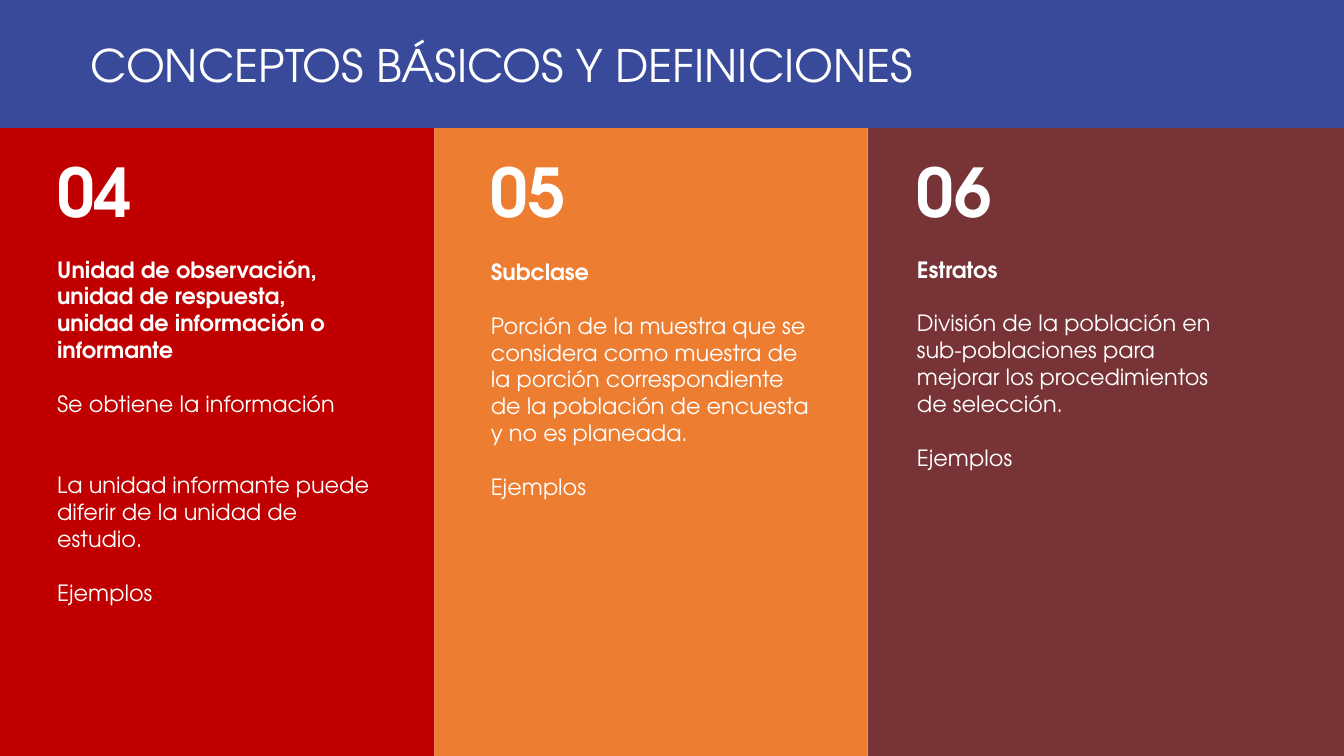
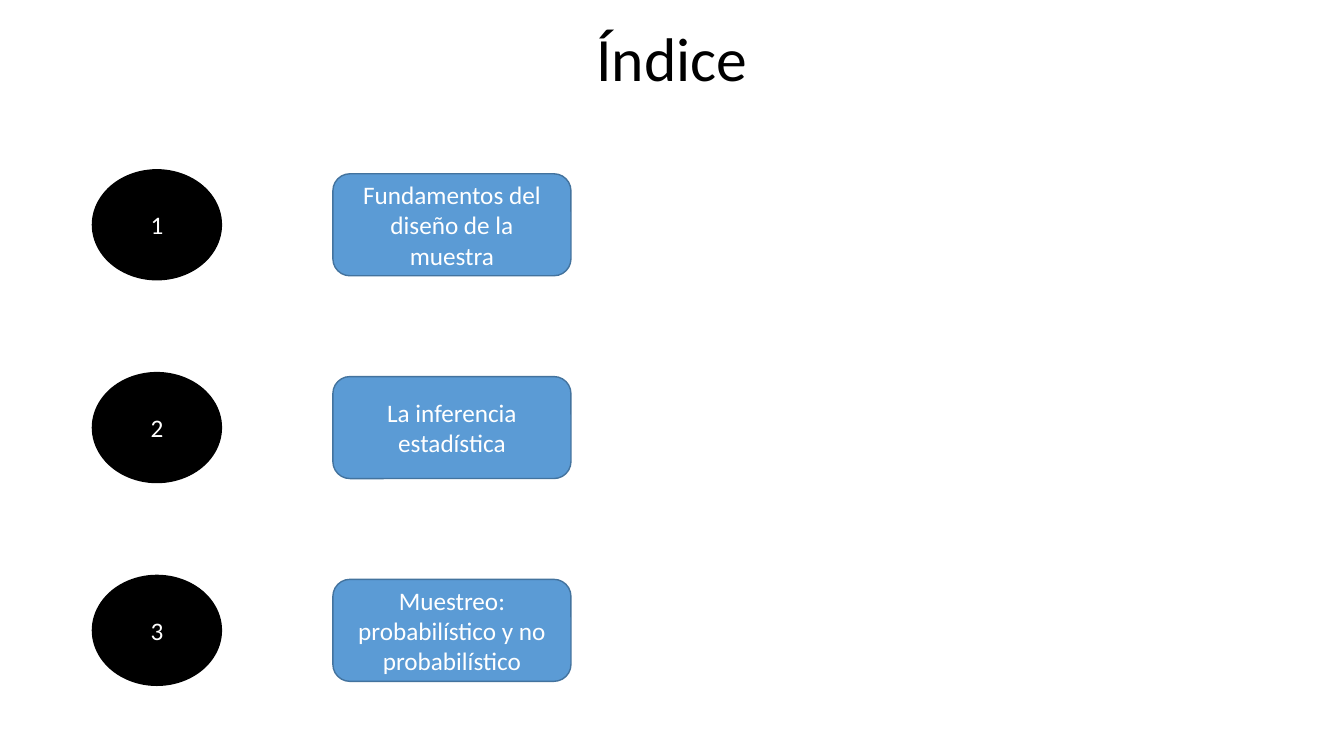
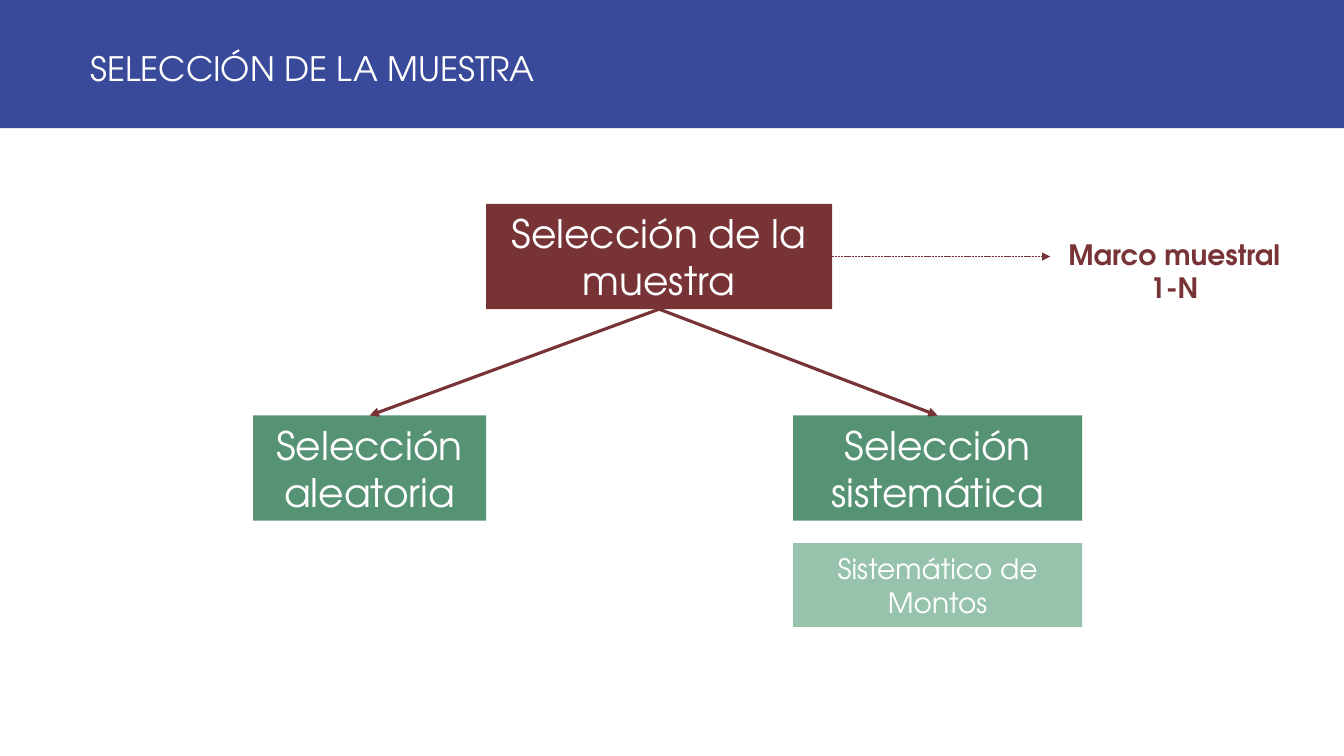
from lxml import etree
from pptx import Presentation
from pptx.dml.color import RGBColor
from pptx.enum.dml import MSO_LINE
from pptx.enum.shapes import MSO_CONNECTOR, MSO_SHAPE
from pptx.enum.text import MSO_ANCHOR, PP_ALIGN
from pptx.oxml.ns import qn
from pptx.util import Cm, Pt

RECT = MSO_SHAPE.RECTANGLE
ROUNDED = MSO_SHAPE.ROUNDED_RECTANGLE
OVAL = MSO_SHAPE.OVAL
STRAIGHT = MSO_CONNECTOR.STRAIGHT
DASHED = MSO_LINE.SQUARE_DOT
LEFT, CENTER = PP_ALIGN.LEFT, PP_ALIGN.CENTER
TOP, MIDDLE = MSO_ANCHOR.TOP, MSO_ANCHOR.MIDDLE
SITE_TOP, SITE_BOTTOM, SITE_RIGHT = 0, 2, 3

BRAND_FONT, PLAIN_FONT = "TeX Gyre Adventor", "Calibri"
WHITE, BLACK = "FFFFFF", "000000"
BLUE, RED, ORANGE, MAROON = "394A9A", "C00000", "ED7D31", "783336"
GREEN, LIGHT_GREEN = "559374", "97C3AD"
SKY, SKY_EDGE = "5B9BD5", "43739E"

WIDTH, HEIGHT = 33.87, 19.05
BAND_HEIGHT = 3.23
BLANK_LINE = 19.2


def rgb(value):
    return RGBColor.from_string(value)


def write(shape, lines, size, font=BRAND_FONT, color=WHITE, bold=False,
          align=CENTER, anchor=MIDDLE):
    frame = shape.text_frame
    frame.word_wrap = True
    frame.vertical_anchor = anchor
    for index, line in enumerate(lines):
        paragraph = frame.paragraphs[0] if index == 0 else frame.add_paragraph()
        paragraph.text = line
        paragraph.alignment = align
        paragraph.font.name = font
        paragraph.font.size = Pt(size)
        paragraph.font.bold = bold
        paragraph.font.color.rgb = rgb(color)
    return frame


def add_panel(slide, box, fill, kind=RECT, edge=None):
    panel = slide.shapes.add_shape(kind, *map(Cm, box))
    panel.shadow.inherit = False
    panel.fill.solid()
    panel.fill.fore_color.rgb = rgb(fill)
    if edge:
        panel.line.color.rgb = rgb(edge)
        panel.line.width = Pt(1)
    else:
        panel.line.fill.background()
    return panel


def add_text(slide, box, lines, size, **style):
    return write(slide.shapes.add_textbox(*map(Cm, box)), lines, size, **style)


def add_entry(slide, box, lines, heading=False):
    frame = add_text(slide, box, lines, 16, align=LEFT, anchor=TOP)
    frame.paragraphs[0].font.bold = heading
    for paragraph in frame.paragraphs[1:]:
        paragraph.space_before = Pt(BLANK_LINE)


def add_title_band(slide, title, size, drop=0.13):
    band = add_panel(slide, (0, 0, WIDTH, BAND_HEIGHT), BLUE)
    frame = write(band, [title], size, align=LEFT)
    frame.margin_left = Cm(2.28)
    frame.margin_top = Cm(drop)


def add_arrow(slide, source, site, width):
    arrow = slide.shapes.add_connector(STRAIGHT, 0, 0, 0, 0)
    arrow.begin_connect(source, site)
    arrow.line.color.rgb = rgb(MAROON)
    arrow.line.width = Pt(width)
    etree.SubElement(arrow.line._get_or_add_ln(), qn("a:tailEnd"), type="triangle")
    etree.SubElement(arrow._element.spPr, qn("a:effectLst"))
    return arrow


def build_concepts(slide):
    add_title_band(slide, "CONCEPTOS BÁSICOS Y DEFINICIONES", 32)
    columns = [
        ("04", 0, 10.95, RED, 1.19, 6.32, 7.65,
         ["Unidad de observación, unidad de respuesta, unidad de información o informante",
          "Se obtiene la información"]),
        ("05", 10.95, 10.92, ORANGE, 12.12, 6.38, 8.59,
         ["Subclase",
          "Porción de la muestra que se considera como muestra de la porción "
          "correspondiente de la población de encuesta y no es planeada.",
          "Ejemplos"]),
        ("06", 21.87, 12, MAROON, 22.86, 6.32, 8.59,
         ["Estratos",
          "División de la población en sub-poblaciones para mejorar los "
          "procedimientos de selección.",
          "Ejemplos"]),
    ]
    for number, left, width, fill, text_left, text_top, text_width, lines in columns:
        add_panel(slide, (left, BAND_HEIGHT, width, HEIGHT - BAND_HEIGHT), fill)
        add_text(slide, (text_left, 3.66, 3, 2.31), [number], 48,
                 bold=True, align=LEFT, anchor=TOP)
        add_entry(slide, (text_left, text_top, text_width, 5.13), lines, heading=True)
    add_entry(slide, (1.19, 11.75, 8.59, 3.68),
              ["La unidad informante puede diferir de la unidad de estudio.", "Ejemplos"])


def build_index(slide):
    title = add_text(slide, (2.33, 0.43, 29.21, 2.26), ["Índice"], 44,
                     font=PLAIN_FONT, color=BLACK)
    title.paragraphs[0].line_spacing = 0.9
    topics = ["Fundamentos del diseño de la muestra",
              "La inferencia estadística",
              "Muestreo: probabilístico y no probabilístico"]
    for index, topic in enumerate(topics):
        top = 4.28 + 5.11 * index
        number = add_panel(slide, (2.33, top, 3.25, 2.77), BLACK, OVAL, BLACK)
        write(number, [str(index + 1)], 18, font=PLAIN_FONT)
        label = add_panel(slide, (8.39, top + 0.1, 6, 2.57), SKY, ROUNDED, SKY_EDGE)
        write(label, [topic], 18, font=PLAIN_FONT)


def build_selection(slide):
    add_title_band(slide, "SELECCIÓN DE LA MUESTRA", 24, drop=0.33)

    def add_node(box, label, fill, size=28):
        node = add_panel(slide, box, fill)
        write(node, [label], size)
        return node

    selection = add_node((12.25, 5.14, 8.72, 2.65), "Selección de la muestra", MAROON)
    methods = [
        add_node((6.38, 10.47, 5.87, 2.65), "Selección aleatoria", GREEN),
        add_node((19.99, 10.47, 7.28, 2.65), "Selección sistemática", GREEN),
    ]
    add_node((19.99, 13.69, 7.28, 2.11), "Sistemático de Montos", LIGHT_GREEN, 20)
    for method in methods:
        add_arrow(slide, selection, SITE_BOTTOM, 2.25).end_connect(method, SITE_TOP)

    frame_arrow = add_arrow(slide, selection, SITE_RIGHT, 0.5)
    frame_arrow.end_x, frame_arrow.end_y = Cm(26.47), frame_arrow.begin_y
    frame_arrow.line.dash_style = DASHED
    add_text(slide, (26.47, 5.84, 6.25, 1.96), ["Marco muestral", "1-N"], 20,
             color=MAROON, bold=True)


def main():
    deck = Presentation()
    deck.slide_width, deck.slide_height = Cm(WIDTH), Cm(HEIGHT)
    for build in (build_concepts, build_index, build_selection):
        build(deck.slides.add_slide(deck.slide_layouts[6]))
    deck.save("out.pptx")


if __name__ == "__main__":
    main()
